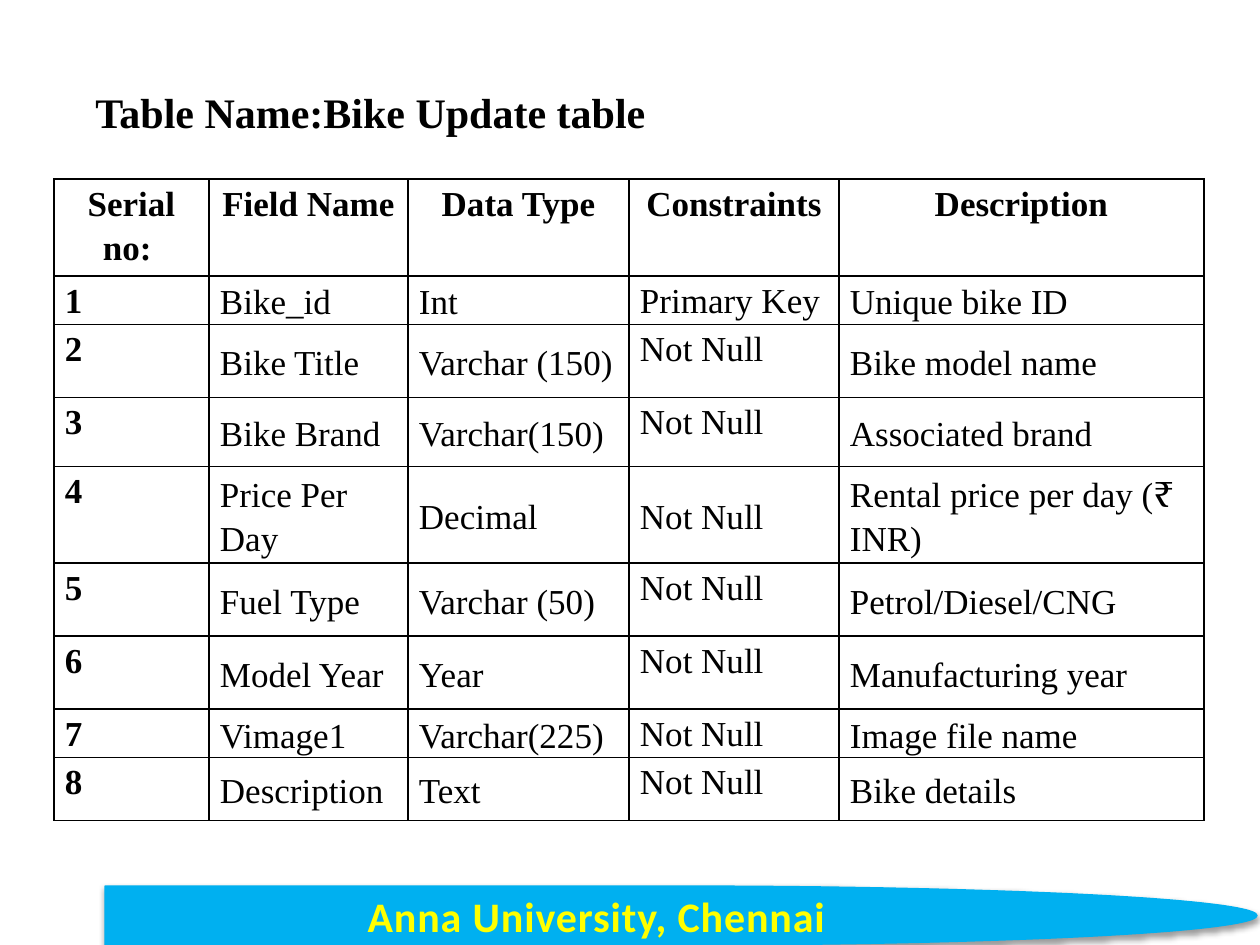
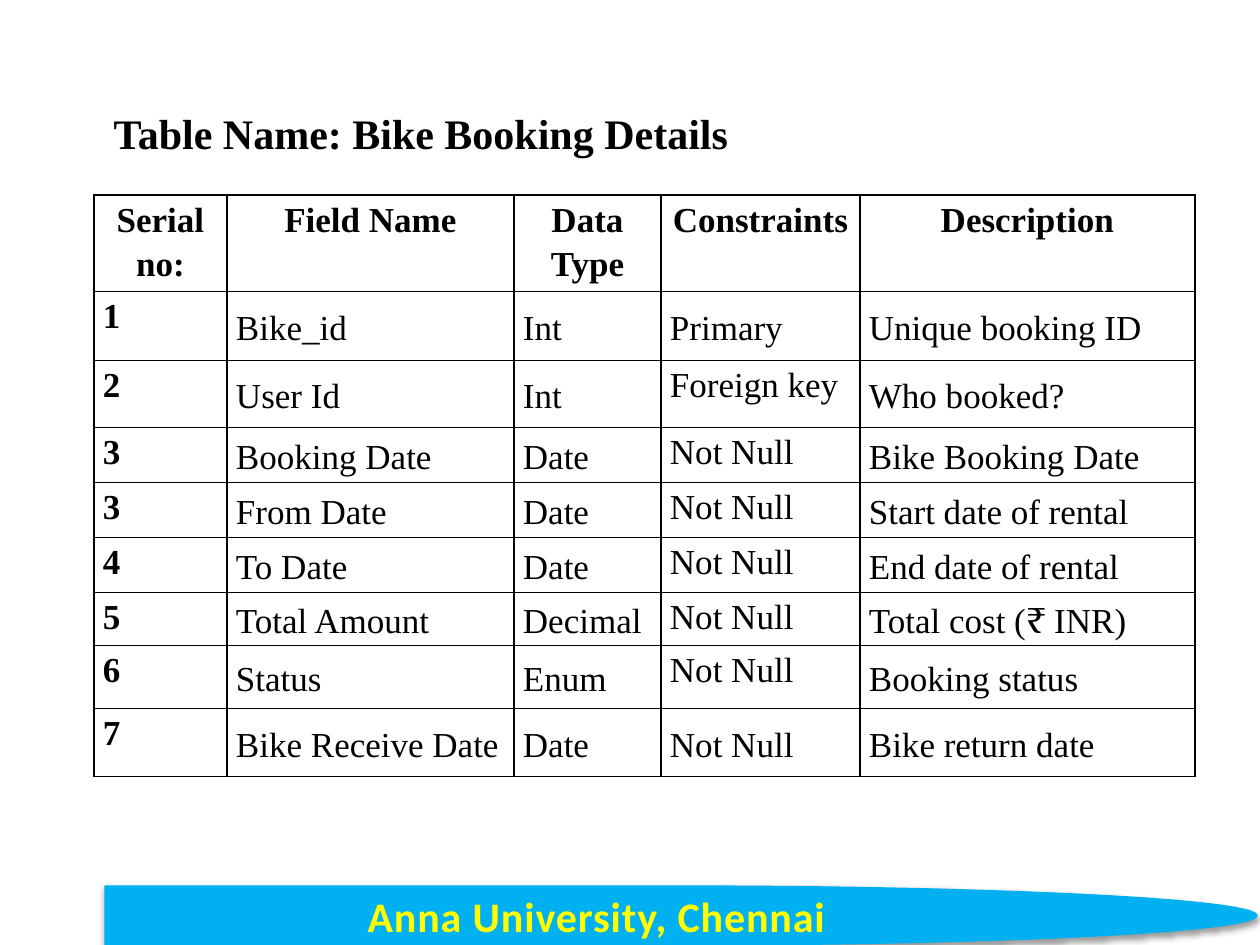
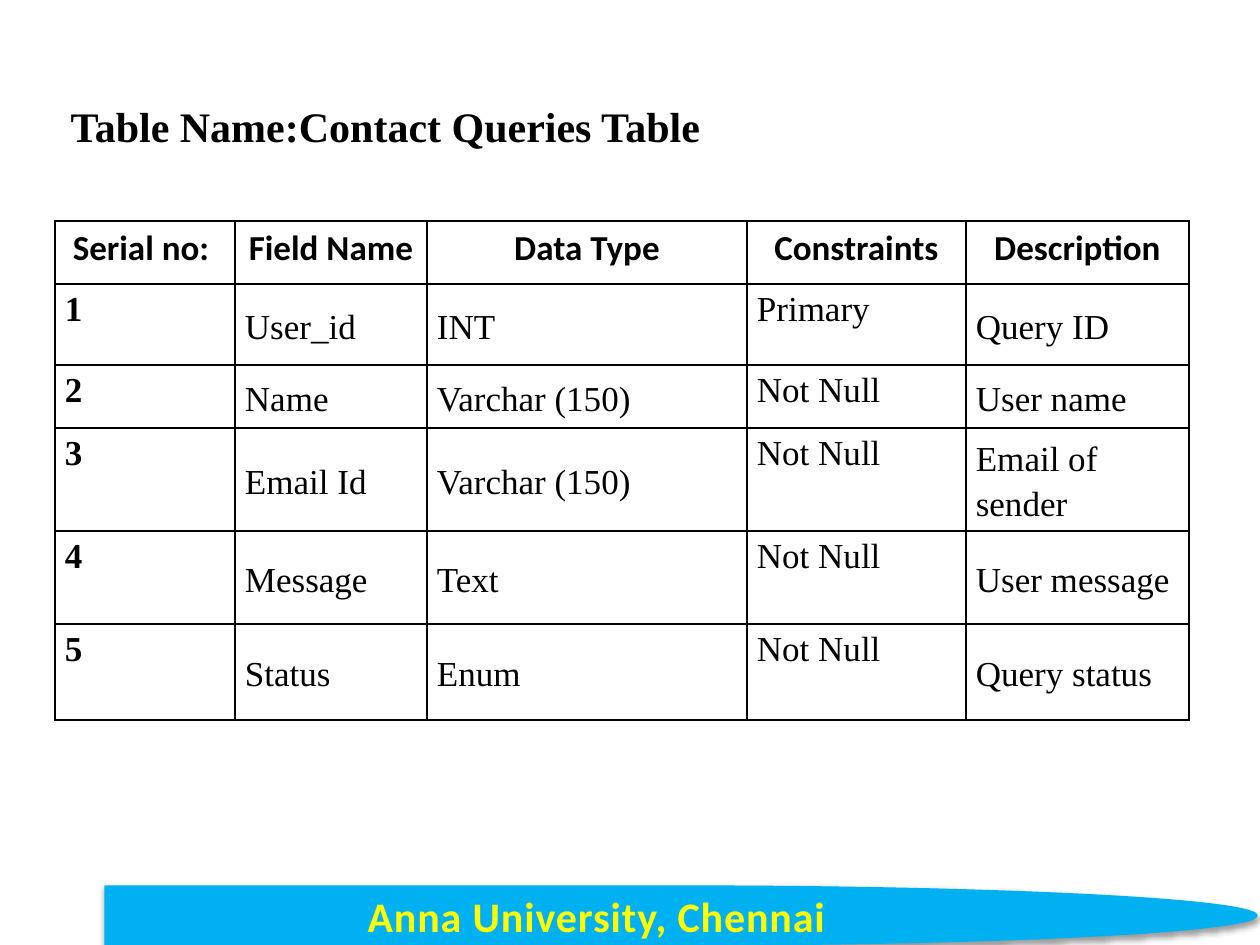
import pptx
import pptx.dml.color
import pptx.enum.shapes
import pptx.enum.text
import pptx.oxml
import pptx.oxml.ns
import pptx.util

COLORS = {"black": "000000", "white": "FFFFFF", "band": "00B0F0",
          "band_text": "FFFF00", "band_outline": "E78738"}
SERIF, SANS = "Times New Roman", "Calibri"
PX = 914400 / 126
SLIDE_SIZE = (1260, 945)
FOOTER = "Anna University, Chennai"
FOOTER_BOX = (105, 886, 1152, 59)
CONSTRAINTS = 3
FIELDS = ["Field Name", "Data Type", "Constraints", "Description"]

# "centred" lists the rows whose constraint sits in the middle of its cell.
PAGES = [
    {
        "title": "Table Name:Bike Update table",
        "title_box": (54, 73, 633, 72), "title_spacing": 1.15,
        "corner": (54, 179), "header_font": SERIF,
        "header_margin": 11, "body_margin": 11, "centred": [4],
        "columns": [155, 199, 221, 210, 365],
        "heights": [97, 48, 73, 69, 97, 73, 73, 48, 63],
        "rows": [
            ["Serial no: ", *FIELDS],
            ["1", "Bike_id", "Int", "Primary Key", "Unique bike ID"],
            ["2", "Bike Title", "Varchar (150)", "Not Null", "Bike model name"],
            ["3", "Bike Brand", "Varchar(150)", "Not Null", "Associated brand"],
            ["4", "Price Per Day", "Decimal", "Not Null", "Rental price per day (₹ INR)"],
            ["5", "Fuel Type", "Varchar (50)", "Not Null", "Petrol/Diesel/CNG"],
            ["6", "Model Year", "Year", "Not Null", "Manufacturing year"],
            ["7", "Vimage1", "Varchar(225)", "Not Null", "Image file name"],
            ["8", "Description", "Text", "Not Null", "Bike details"],
        ],
    },
    {
        "title": "Table Name: Bike Booking Details",
        "title_box": (52, 94, 738, 67), "title_spacing": 1.15,
        "corner": (94, 195), "header_font": SERIF,
        "header_margin": 9, "body_margin": 9, "centred": [1, 8],
        "columns": [133, 287, 147, 199, 335],
        "heights": [79, 69, 67, 55, 55, 55, 53, 63, 68],
        "rows": [
            ["Serial no:", *FIELDS],
            ["1", "Bike_id", "Int", "Primary", "Unique booking ID"],
            ["2", "User Id", "Int", "Foreign key", "Who booked?"],
            ["3", "Booking Date", "Date", "Not Null", "Bike Booking Date"],
            ["3", "From Date", "Date", "Not Null", "Start date of rental"],
            ["4", "To Date", "Date", "Not Null", "End date of rental"],
            ["5", "Total Amount", "Decimal", "Not Null", "Total cost (₹ INR)"],
            ["6", "Status", "Enum", "Not Null", "Booking status"],
            ["7", "Bike Receive Date", "Date", "Not Null", "Bike return date"],
        ],
    },
    {
        "title": "Table Name:Contact Queries Table",
        "title_box": (31, 94, 709, 63), "title_spacing": 1.0,
        "corner": (55, 221), "header_font": SANS,
        "header_margin": 11, "body_margin": 10, "centred": [],
        "columns": [180, 192, 320, 219, 223],
        "heights": [63, 81, 63, 103, 93, 96],
        "rows": [
            ["Serial no: ", *FIELDS],
            ["1", "User_id", "INT", "Primary", "Query ID"],
            ["2", "Name", "Varchar (150)", "Not Null", "User name"],
            ["3", "Email Id", "Varchar (150)", "Not Null", "Email of sender"],
            ["4", "Message", "Text", "Not Null", "User message"],
            ["5", "Status", "Enum", "Not Null", "Query status"],
        ],
    },
]


def emu(px):
    return pptx.util.Emu(round(px * PX))


def rgb(name):
    return pptx.dml.color.RGBColor.from_string(COLORS[name])


def xml(markup):
    """Parse one DrawingML element, declaring its namespace."""
    tag, rest = markup.split(" ", 1)
    return pptx.oxml.parse_xml(f"{tag} {pptx.oxml.ns.nsdecls('a')} {rest}")


def write(frame, text, size=20, font=SERIF, color="black", bold=False,
          centred=False, spacing=1.15, middle=False):
    """Fill a text frame or table cell with one formatted span, and return the span."""
    frame.vertical_anchor = (pptx.enum.text.MSO_ANCHOR.MIDDLE if middle
                             else pptx.enum.text.MSO_ANCHOR.TOP)
    text_frame = getattr(frame, "text_frame", frame)
    text_frame.word_wrap = True
    para = text_frame.paragraphs[0]
    para.alignment = (pptx.enum.text.PP_ALIGN.CENTER if centred
                      else pptx.enum.text.PP_ALIGN.LEFT)
    para.line_spacing = spacing
    span = para.add_run()
    span.text = text
    span.font.size = pptx.util.Pt(size)
    span.font.name = font
    span.font.bold = bold
    span.font.color.rgb = rgb(color)
    return span


def add_title(page, content):
    title = page.shapes.title
    title.left, title.top, title.width, title.height = map(emu, content["title_box"])
    write(title.text_frame, content["title"], size=24, bold=True, centred=True,
          spacing=content["title_spacing"])
    title.text_frame.auto_size = pptx.enum.text.MSO_AUTO_SIZE.SHAPE_TO_FIT_TEXT


def add_footer(page):
    band = page.shapes.add_shape(pptx.enum.shapes.MSO_SHAPE.FLOWCHART_DELAY,
                                 *map(emu, FOOTER_BOX))
    band.fill.solid()
    band.fill.fore_color.rgb = rgb("band")
    band.line.color.rgb = rgb("band")
    band.line.width = pptx.util.Pt(0.75)
    band.shadow.inherit = False
    effects = band._element.spPr.find(pptx.oxml.ns.qn("a:effectLst"))
    effects.append(xml(
        '<a:outerShdw blurRad="40000" dist="20000" dir="5400000" rotWithShape="0">'
        f'<a:srgbClr val="{COLORS["black"]}"><a:alpha val="38000"/></a:srgbClr>'
        '</a:outerShdw>'))
    span = write(band.text_frame, FOOTER, size=24, font=SANS, color="band_text",
                 bold=True, centred=True, spacing=1.0, middle=True)
    properties = span.font._element
    properties.set("spc", "50")
    properties.insert(0, xml(
        f'<a:ln w="12700"><a:solidFill><a:srgbClr val="{COLORS["band_outline"]}"/>'
        '</a:solidFill></a:ln>'))


def style_cell(cell, margin):
    properties = cell._tc.get_or_add_tcPr()
    for side in "LRTB":
        properties.append(xml(
            f'<a:ln{side} w="12700"><a:solidFill><a:srgbClr val="{COLORS["black"]}"/>'
            f'</a:solidFill></a:ln{side}>'))
    cell.fill.solid()
    cell.fill.fore_color.rgb = rgb("white")
    cell.margin_left = cell.margin_right = emu(margin)
    cell.margin_top = cell.margin_bottom = 0


def add_field_table(page, content):
    rows, columns, heights = content["rows"], content["columns"], content["heights"]
    box = (*content["corner"], sum(columns), sum(heights))
    table = page.shapes.add_table(len(rows), len(columns), *map(emu, box)).table
    table.first_row = table.horz_banding = False
    for column, width in zip(table.columns, columns):
        column.width = emu(width)
    for row, height in zip(table.rows, heights):
        row.height = emu(height)
    for r, texts in enumerate(rows):
        header = r == 0
        for c, text in enumerate(texts):
            cell = table.cell(r, c)
            style_cell(cell, content["header_margin" if header else "body_margin"])
            middle = not header and c > 0 and (c != CONSTRAINTS or r in content["centred"])
            write(cell, text, font=content["header_font"] if header else SERIF,
                  bold=header or c == 0, centred=header, middle=middle)


def main():
    deck = pptx.Presentation()
    deck.slide_width, deck.slide_height = map(emu, SLIDE_SIZE)
    title_only = deck.slide_layouts[5]
    for content in PAGES:
        page = deck.slides.add_slide(title_only)
        add_footer(page)
        add_field_table(page, content)
        add_title(page, content)
    deck.save("out.pptx")


if __name__ == "__main__":
    main()
